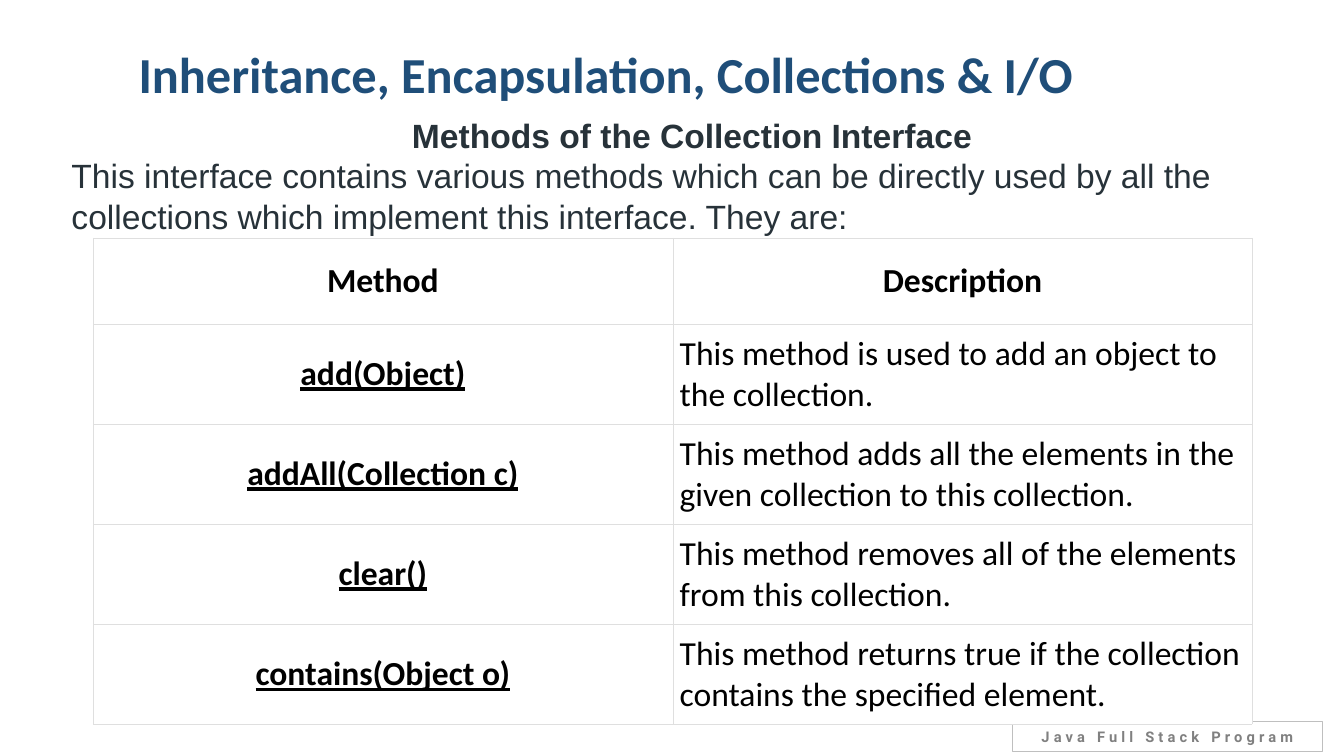
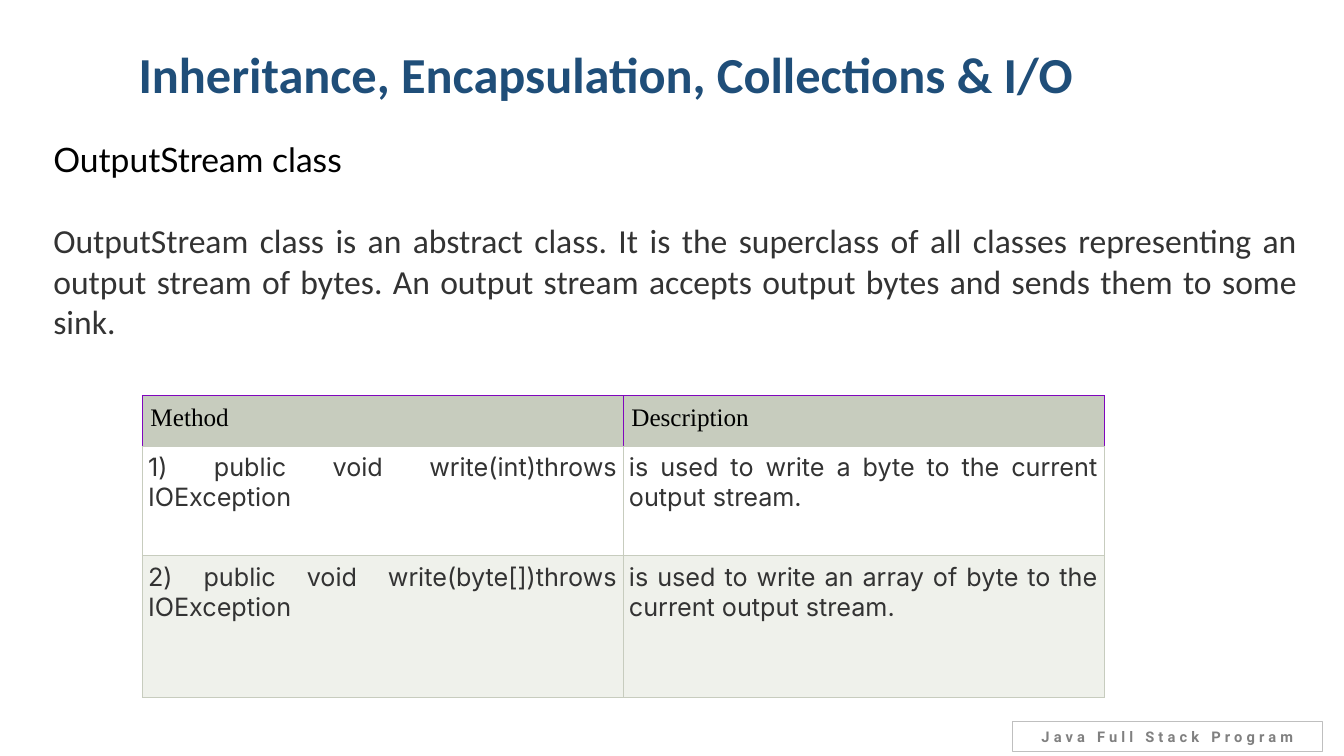
from lxml import etree
from pptx import Presentation
from pptx.dml.color import RGBColor
from pptx.enum.shapes import MSO_SHAPE
from pptx.enum.text import MSO_ANCHOR, MSO_AUTO_SIZE, PP_ALIGN
from pptx.oxml.ns import qn
from pptx.util import Pt

LEFT, MID, JUST = PP_ALIGN.LEFT, PP_ALIGN.CENTER, PP_ALIGN.JUSTIFY
TOP, CENTER, BOTTOM = MSO_ANCHOR.TOP, MSO_ANCHOR.MIDDLE, MSO_ANCHOR.BOTTOM
INK = {
    "title": "1F4E79", "slate": "273239", "black": "000000", "text": "333333",
    "foot": "808080", "frame": "BFBFBF", "rule": "DFDFDF", "white": "FFFFFF",
    "sage": "C7CCBE", "pale": "EFF1EB", "purple": "8006BD",
}


def style(par, font, size, color, bold=False, align=LEFT):
    par.alignment = align
    for run in par.runs:
        run.font.name = font
        run.font.size = Pt(size)
        run.font.bold = bold
        run.font.color.rgb = RGBColor.from_string(INK[color])


def paint(cell, fill, width, edges):
    """Fill a cell and rule its left, right, top and bottom edges."""
    cell.fill.solid()
    cell.fill.fore_color.rgb = RGBColor.from_string(INK[fill])
    props = cell._tc.get_or_add_tcPr()
    for i, (side, color) in enumerate(zip("LRTB", edges)):
        line = etree.Element(qn(f"a:ln{side}"), w=str(Pt(width)))
        solid = etree.SubElement(line, qn("a:solidFill"))
        etree.SubElement(solid, qn("a:srgbClr"), val=INK[color])
        props.insert(i, line)


deck = Presentation()
deck.slide_width, deck.slide_height = Pt(960), Pt(540)

# Paragraph styles: font, size, colour, bold, alignment
HEAD = ("Calibri", 24, "black", True, MID)
CODE = ("Inter", 18, "text", False, JUST)

pages = [
    {
        "box": (44, 78.5, 900.5, 124),
        "text": [
            ("Methods of the Collection Interface",
             ("Arial", 24, "slate", True, MID), 0),
            ("This interface contains various methods which can be directly used "
             "by all the collections which implement this interface. They are:",
             ("Arial", 24, "slate"), 0),
        ],
        "grid": (66.5, 170, 414),
        "highs": [61.5, 71.5, 71.5, 71.5, 71.5],
        "pads": [(5, 5), (5, 6.4)],
        "anchor": CENTER,
        "head": (HEAD, HEAD),
        "body": (HEAD, ("Calibri", 24, "black")),
        "under": True,
        "fills": ["white"] * 5,
        "width": 0.15,
        "edges": [["rule"] * 4] * 2,
        "rows": [
            ("Method", "Description"),
            ("add(Object)",
             "This method is used to add an object to the collection."),
            ("addAll(Collection c)",
             "This method adds all the elements in the given collection "
             "to this collection."),
            ("clear()",
             "This method removes all of the elements from this collection."),
            ("contains(Object o)",
             "This method returns true if the collection contains the "
             "specified element."),
        ],
    },
    {
        "box": (31, 96, 903, 156),
        "text": [
            ("OutputStream class", ("Lato", 24, "black", False, JUST), 0),
            ("OutputStream class is an abstract class. It is the superclass of "
             "all classes representing an output stream of bytes. An output "
             "stream accepts output bytes and sends them to some sink.",
             ("Calibri", 24, "text", False, JUST), 29),
        ],
        "grid": (101.5, 282.5, 343.5),
        "highs": [36, 78.5, 101],
        "pads": [(6, 6), (4.3, 4.3)],
        "anchor": TOP,
        "head": (("Times New Roman", 18, "black"),) * 2,
        "body": (CODE, CODE),
        "under": False,
        "fills": ["sage", "white", "pale"],
        "width": 0.5,
        "edges": [["purple"] * 3 + ["sage"], ["sage"] * 4],
        "rows": [
            ("Method", "Description"),
            ("1) public void write(int)throws IOException",
             "is used to write a byte to the current output stream."),
            ("2) public void write(byte[])throws IOException",
             "is used to write an array of byte to the current output stream."),
        ],
    },
]

for page in pages:
    slide = deck.slides.add_slide(deck.slide_layouts[5])

    # Title
    title = slide.shapes.title
    title.left, title.top, title.width, title.height = map(Pt, (26, 8.5, 814, 70))
    frame = title.text_frame
    frame.text = "Inheritance, Encapsulation, Collections & I/O"
    frame.auto_size = MSO_AUTO_SIZE.NONE
    frame.vertical_anchor = BOTTOM
    frame.paragraphs[0].line_spacing = 0.9
    style(frame.paragraphs[0], "Calibri", 36, "title", True, MID)

    # Footer tag
    tag = slide.shapes.add_shape(
        MSO_SHAPE.RECTANGLE, *map(Pt, (723.5, 515.5, 221, 21)))
    tag.shadow.inherit = False
    tag.fill.background()
    tag.line.color.rgb = RGBColor.from_string(INK["frame"])
    tag.line.width = Pt(0.75)
    frame = tag.text_frame
    frame.text = "Java Full Stack Program"
    frame.vertical_anchor = CENTER
    style(frame.paragraphs[0], "Roboto", 10.5, "foot", True, MID)
    frame.paragraphs[0].runs[0].font._element.set("spc", "300")

    # Introduction
    frame = slide.shapes.add_textbox(*map(Pt, page["box"])).text_frame
    frame.word_wrap = True
    frame.text = "\n".join(text for text, look, gap in page["text"])
    for par, (text, look, gap) in zip(frame.paragraphs, page["text"]):
        style(par, *look)
        par.space_before = Pt(gap)

    # Method table
    rows, highs = page["rows"], page["highs"]
    left, top, wide = page["grid"]
    table = slide.shapes.add_table(
        len(rows), 2, Pt(left), Pt(top), Pt(2 * wide), Pt(sum(highs))).table
    table.first_row = table.horz_banding = False
    for r, texts in enumerate(rows):
        table.rows[r].height = Pt(highs[r])
        part = min(r, 1)
        side, rim = page["pads"][part]
        looks = page["body"] if r else page["head"]
        for c, text in enumerate(texts):
            cell = table.cell(r, c)
            cell.text = text
            cell.vertical_anchor = page["anchor"]
            cell.margin_left = cell.margin_right = Pt(side)
            cell.margin_top = cell.margin_bottom = Pt(rim)
            par = cell.text_frame.paragraphs[0]
            style(par, *looks[c])
            if page["under"] and r and c == 0:
                par.runs[0].font.underline = True
            paint(cell, page["fills"][r], page["width"], page["edges"][part])

deck.save("out.pptx")
